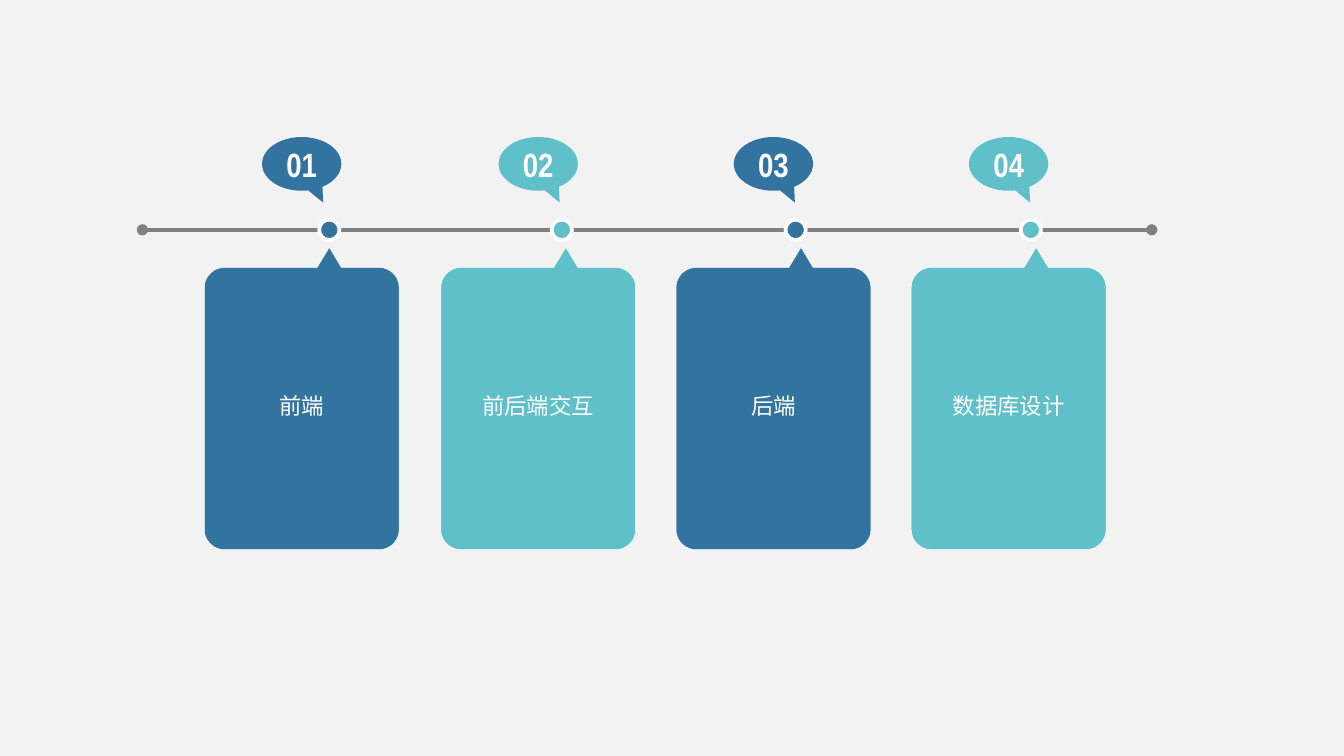
from math import cos, radians, sin

from lxml import etree
from pptx import Presentation
from pptx.dml.color import RGBColor
from pptx.enum.shapes import MSO_CONNECTOR, MSO_SHAPE
from pptx.enum.text import MSO_ANCHOR, PP_ALIGN
from pptx.oxml.ns import qn
from pptx.util import Inches, Pt

STRAIGHT = MSO_CONNECTOR.STRAIGHT
OVAL, CALLOUT = MSO_SHAPE.OVAL, MSO_SHAPE.OVAL_CALLOUT
CENTER, MIDDLE = PP_ALIGN.CENTER, MSO_ANCHOR.MIDDLE

# Content: number, label, colour, left of the card, centre of the dot
STEPS = [
    ("01", "前端", "blue", 1.52, 2.45),
    ("02", "前后端交互", "teal", 3.28, 4.18),
    ("03", "后端", "blue", 5.03, 5.92),
    ("04", "数据库设计", "teal", 6.78, 7.67),
]
COLORS = {"background": "F2F2F2", "blue": "33739F", "teal": "5FC0C9",
          "axis": "808080", "white": "FFFFFF"}
NUMBER_FONT, LABEL_FONT = "Arial Narrow", "Noto Sans CJK SC"

# Geometry in inches; the slide is 16:9
SLIDE_W = 10
SLIDE_H = SLIDE_W * 9 / 16
AXIS_LEFT, AXIS_RIGHT, AXIS_Y = 1.06, 8.57, 1.71
CARD_W, CARD_TOP, CARD_BOTTOM, CORNER = 1.45, 1.99, 4.09, 0.15
TIP_X, TIP_Y, TIP_HALF = 0.93, 1.84, 0.09
BUBBLE_X, BUBBLE_Y, BUBBLE_W, BUBBLE_H = 0.43, 1.02, 0.59, 0.40
DOT = 0.15


def color(name):
    return RGBColor.from_string(COLORS[name])


def style(shape, fill, line_width=None):
    shape.shadow.inherit = False
    shape.fill.solid()
    shape.fill.fore_color.rgb = color(fill)
    if line_width is None:
        shape.line.fill.background()
    else:
        shape.line.color.rgb = color("white")
        shape.line.width = Pt(line_width)


def write(shape, text, font_name, size, bold=False, spacing=None):
    frame = shape.text_frame
    frame.word_wrap = True
    frame.vertical_anchor = MIDDLE
    paragraph = frame.paragraphs[0]
    paragraph.text = text
    paragraph.alignment = CENTER
    paragraph.line_spacing = spacing
    font = paragraph.font
    font.name, font.size, font.bold = font_name, Pt(size), bold
    font.color.rgb = color("white")
    # East Asian typeface
    properties = paragraph._p.find(qn("a:pPr")).find(qn("a:defRPr"))
    etree.SubElement(properties, qn("a:ea"), typeface=font_name)


def card_outline(left):
    """Rounded rectangle with a pointer on its top edge, clockwise from the tip."""
    right, tip = left + CARD_W, left + TIP_X
    corners = [(right - CORNER, CARD_TOP + CORNER, -90),
               (right - CORNER, CARD_BOTTOM - CORNER, 0),
               (left + CORNER, CARD_BOTTOM - CORNER, 90),
               (left + CORNER, CARD_TOP + CORNER, 180)]
    points = [(tip, TIP_Y), (tip + TIP_HALF, CARD_TOP)]
    for x, y, start in corners:
        for angle in range(start, start + 91, 10):
            points.append((x + CORNER * cos(radians(angle)),
                           y + CORNER * sin(radians(angle))))
    return points + [(tip - TIP_HALF, CARD_TOP)]


prs = Presentation()
prs.slide_width, prs.slide_height = Inches(SLIDE_W), Inches(SLIDE_H)
slide = prs.slides.add_slide(prs.slide_layouts[6])
slide.background.fill.solid()
slide.background.fill.fore_color.rgb = color("background")
shapes = slide.shapes

# Timeline axis with round ends
axis = shapes.add_connector(STRAIGHT, Inches(AXIS_LEFT), Inches(AXIS_Y),
                            Inches(AXIS_RIGHT), Inches(AXIS_Y))
axis.line.color.rgb = color("axis")
axis.line.width = Pt(2)
for end in ("a:headEnd", "a:tailEnd"):
    etree.SubElement(axis.line._get_or_add_ln(), qn(end), type="oval")
etree.SubElement(axis._element.spPr, qn("a:effectLst"))

for number, label, fill, left, dot_x in STEPS:
    # Dot on the axis
    dot = shapes.add_shape(OVAL, Inches(dot_x - DOT / 2), Inches(AXIS_Y - DOT / 2),
                           Inches(DOT), Inches(DOT))
    style(dot, fill, 2)

    # Numbered bubble
    bubble = shapes.add_shape(CALLOUT, Inches(left + BUBBLE_X), Inches(BUBBLE_Y),
                              Inches(BUBBLE_W), Inches(BUBBLE_H))
    bubble.adjustments[0], bubble.adjustments[1] = 0.27, 0.72
    style(bubble, fill)
    frame = bubble.text_frame
    frame.margin_left = frame.margin_right = frame.margin_top = frame.margin_bottom = 0
    write(bubble, number, NUMBER_FONT, 18, bold=True)

    # Card with pointer
    start, *rest = [(Inches(x), Inches(y)) for x, y in card_outline(left)]
    builder = shapes.build_freeform(*start)
    builder.add_line_segments(rest, close=True)
    card = builder.convert_to_shape()
    style(card, fill, 0.25)
    write(card, label, LABEL_FONT, 12, spacing=1.5)

prs.save("out.pptx")
